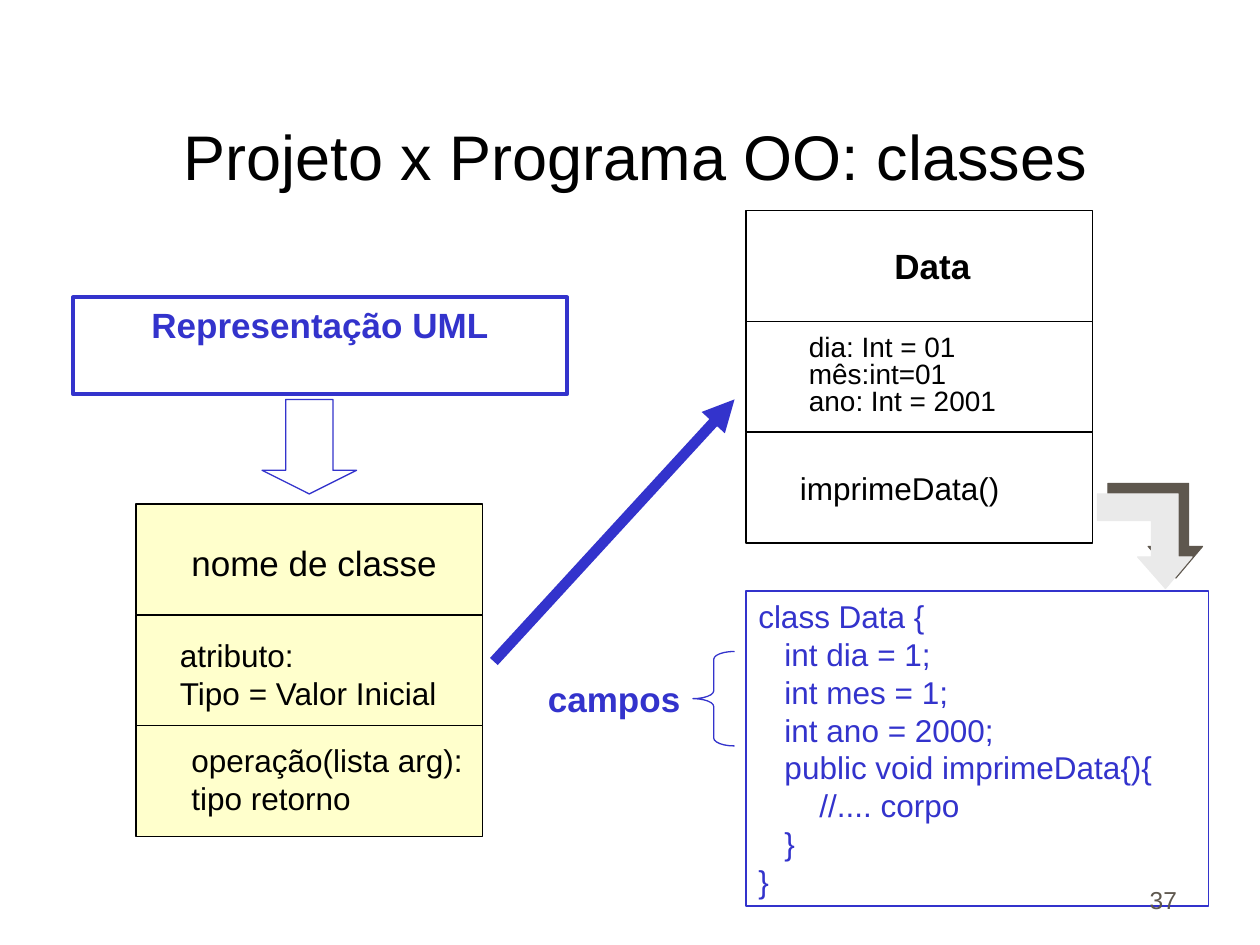
from lxml import etree
from pptx import Presentation
from pptx.dml.color import RGBColor
from pptx.enum import shapes, text
from pptx.oxml import ns
from pptx.util import Inches, Pt

BLUE, BLACK, WHITE = "3333CC", "000000", "FFFFFF"
CREAM, SILVER, BROWN = "FFFFCC", "EAEAEA", "5E574E"
LEFT, CENTER, RIGHT = text.PP_ALIGN.LEFT, text.PP_ALIGN.CENTER, text.PP_ALIGN.RIGHT

TITLE = "Projeto x Programa OO: classes"
CODE = [
    "class Data {",
    "   int dia = 1;",
    "   int mes = 1;",
    "   int ano = 2000;",
    "   public void imprimeData{){",
    "       //.... corpo",
    "   }",
    "}",
]
CLASS_DIAGRAMS = [
    (5.92, 1.67, WHITE, [
        ((7, 1.89, 0.8, 0.44), ["Data"], dict(size=20, bold=True, wrap=False)),
        ((6.42, 2.67, 1.49, 0.64), ["dia: Int = 01", "mês:int=01", "ano: Int = 2001"],
         dict(size=16, spacing=0.8, inset=False, wrap=False)),
        ((6.25, 3.67, 2.35, 0.4), ["imprimeData()"], {}),
    ]),
    (1.08, 4, CREAM, [
        ((1.42, 4.25, 2.15, 0.44), ["nome de classe"], dict(size=20, wrap=False)),
        ((1.33, 5, 2.26, 0.7), ["atributo:", "Tipo = Valor Inicial"], dict(wrap=False)),
        ((1.42, 5.83, 2.42, 0.7), ["operação(lista arg):", "tipo retorno"], {}),
    ]),
]
ROW_WIDTH, ROW_HEIGHT = 2.75, 0.88
BENT_ARROW = [(8.71, 3.92), (9.35, 3.92), (9.35, 4.42), (9.46, 4.42), (9.25, 4.67),
              (9.03, 4.42), (9.14, 4.42), (9.14, 4.13), (8.71, 4.13)]


def rgb(value):
    return RGBColor.from_string(value)


def place(box):
    return [Inches(length) for length in box]


def write(frame, lines, size=18, color=BLACK, bold=False, align=LEFT, spacing=None,
          inset=True, wrap=True, anchor=text.MSO_ANCHOR.TOP):
    frame.word_wrap = wrap
    frame.vertical_anchor = anchor
    frame.margin_left = frame.margin_right = Inches(0.1 if inset else 0)
    frame.margin_top = frame.margin_bottom = Inches(0.05 if inset else 0)
    for index, line in enumerate(lines):
        paragraph = frame.add_paragraph() if index else frame.paragraphs[0]
        paragraph.text = line
        paragraph.alignment = align
        if spacing:
            paragraph.line_spacing = spacing
        font = paragraph.font
        font.name, font.size, font.bold = "Arial", Pt(size), bold
        font.color.rgb = rgb(color)


def paint(shape, fill, line, width=0.75):
    shape.shadow.inherit = False
    if fill:
        shape.fill.solid()
        shape.fill.fore_color.rgb = rgb(fill)
    else:
        shape.fill.background()
    shape.line.color.rgb = rgb(line)
    shape.line.width = Pt(width)


def add_shape(slide, kind, box, fill=None, line=BLUE, width=0.75):
    shape = slide.shapes.add_shape(kind, *place(box))
    paint(shape, fill, line, width)
    return shape


def add_label(slide, box, lines, **style):
    write(slide.shapes.add_textbox(*place(box)).text_frame, lines, **style)


def add_class(slide, left, top, fill, labels):
    for row in range(len(labels)):
        box = (left, top + row * ROW_HEIGHT, ROW_WIDTH, ROW_HEIGHT)
        add_shape(slide, shapes.MSO_SHAPE.RECTANGLE, box, fill, BLACK)
    for box, lines, style in labels:
        add_label(slide, box, lines, **style)


def add_bent_arrow(slide):
    start, *rest = [place(point) for point in BENT_ARROW]
    builder = slide.shapes.build_freeform(*start)
    builder.add_line_segments(rest, close=True)
    arrow = builder.convert_to_shape()
    paint(arrow, SILVER, SILVER)
    effects = arrow._element.spPr.find(ns.qn("a:effectLst"))
    shadow = etree.SubElement(effects, ns.qn("a:outerShdw"), dist=str(Pt(8.5)),
                              dir=str(315 * 60000), algn="ctr", rotWithShape="0")
    etree.SubElement(shadow, ns.qn("a:srgbClr"), val=BROWN)


def add_link(slide, start, end):
    link = slide.shapes.add_connector(shapes.MSO_CONNECTOR.STRAIGHT, *place(start + end))
    link.line.color.rgb = rgb(BLUE)
    link.line.width = Pt(6)
    etree.SubElement(link.line._get_or_add_ln(), ns.qn("a:tailEnd"), type="triangle")
    etree.SubElement(link._element.spPr, ns.qn("a:effectLst"))


def main():
    deck = Presentation()
    deck.slide_width, deck.slide_height = Inches(10), Inches(7.5)
    slide = deck.slides.add_slide(deck.slide_layouts[5])

    title = slide.shapes.title
    title.left, title.top, title.width, title.height = place((0.17, 0.5, 9.75, 1.08))
    write(title.text_frame, [TITLE], size=36, align=CENTER, anchor=text.MSO_ANCHOR.BOTTOM)

    uml = add_shape(slide, shapes.MSO_SHAPE.RECTANGLE, (0.58, 2.36, 3.92, 0.77), width=2.25)
    write(uml.text_frame, ["Representação UML"], size=20, color=BLUE, bold=True, align=CENTER)
    add_shape(slide, shapes.MSO_SHAPE.DOWN_ARROW, (2.08, 3.17, 0.75, 0.75)).adjustments[1] = 0.25

    for diagram in CLASS_DIAGRAMS:
        add_class(slide, *diagram)

    code = add_shape(slide, shapes.MSO_SHAPE.RECTANGLE, (5.92, 4.69, 3.67, 2.5))
    write(code.text_frame, CODE, color=BLUE)
    add_shape(slide, shapes.MSO_SHAPE.LEFT_BRACE, (5.5, 5.17, 0.33, 0.75)).adjustments[0] = 0.19
    add_label(slide, (4.25, 5.33, 1.25, 0.44), ["campos"],
              size=20, color=BLUE, bold=True, wrap=False)
    add_bent_arrow(slide)
    add_link(slide, (3.92, 5.25), (5.83, 3.17))
    add_label(slide, (7.36, 6.81, 2.08, 0.5), ["37"], size=14, color=BROWN,
              align=RIGHT, anchor=text.MSO_ANCHOR.BOTTOM)
    deck.save("out.pptx")


if __name__ == "__main__":
    main()
